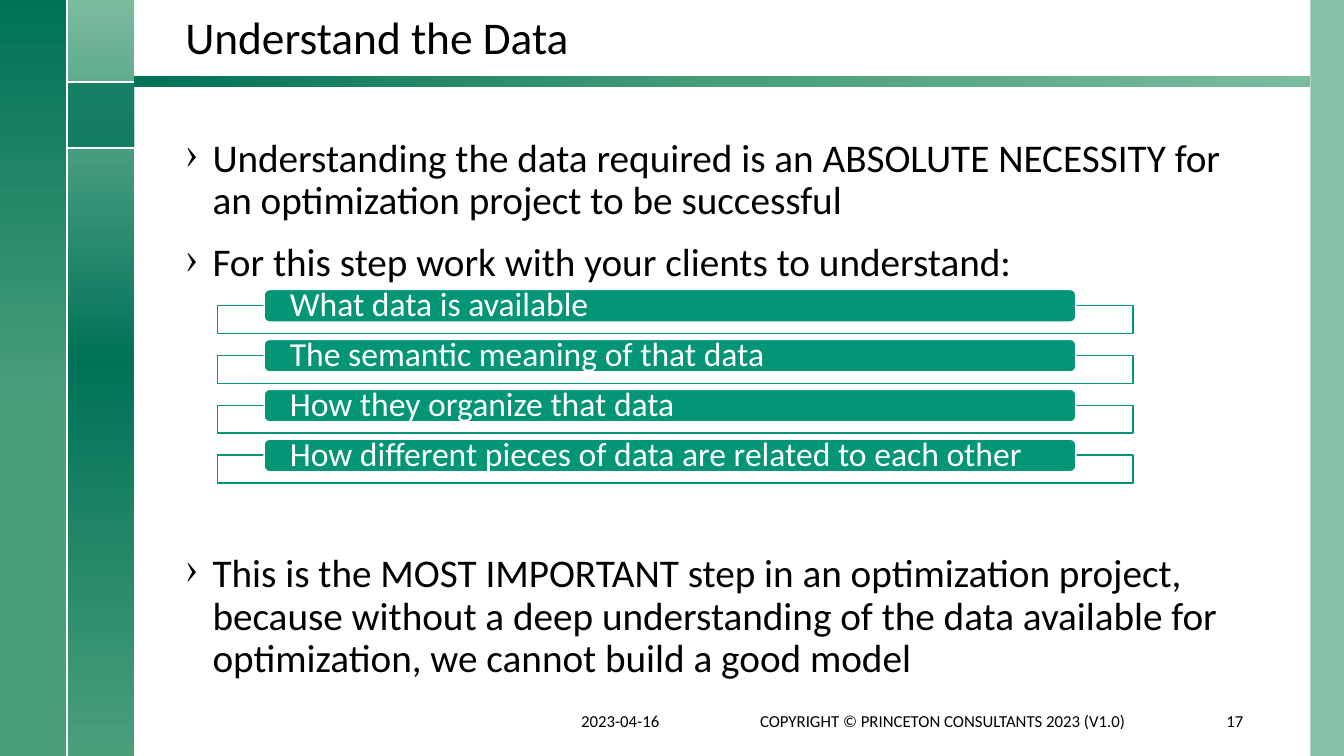
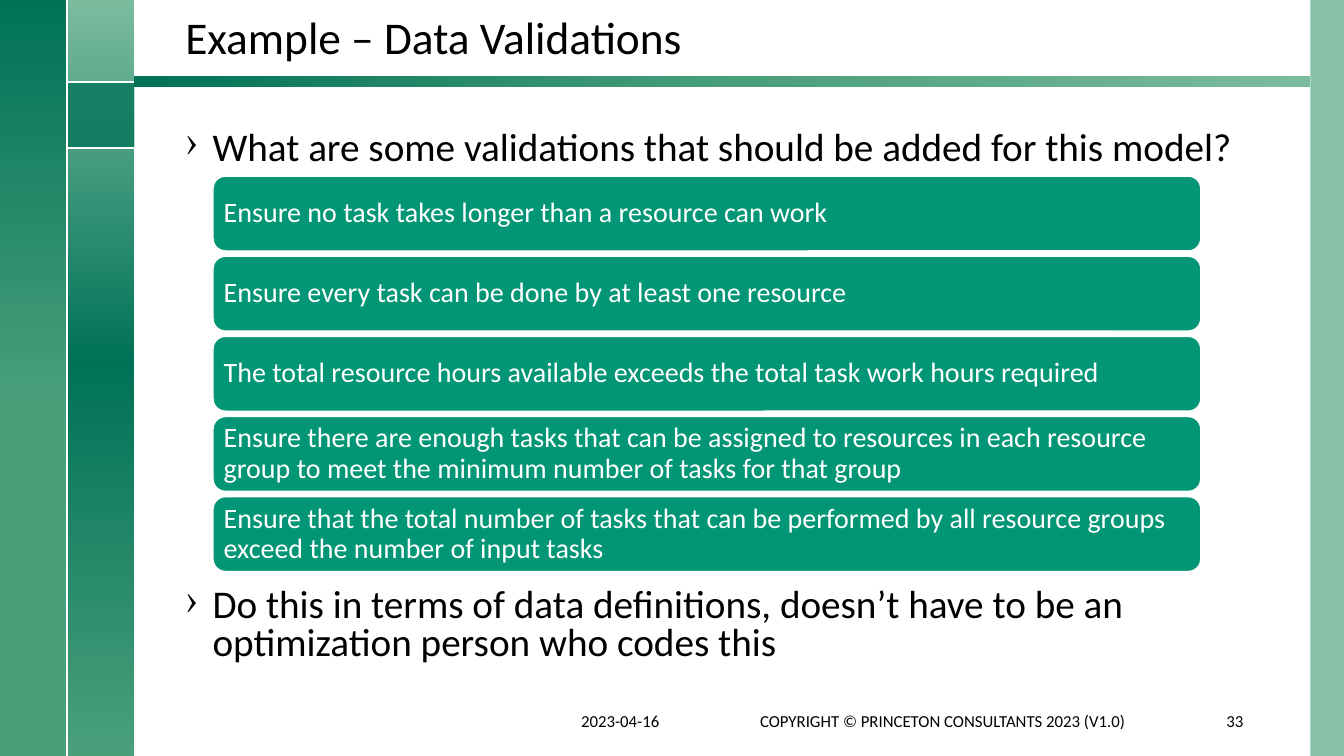
from dataclasses import dataclass

from lxml.etree import SubElement as Sub
from pptx import Presentation as Deck
from pptx.dml.color import RGBColor as Color
from pptx.enum.shapes import MSO_CONNECTOR as Link, MSO_SHAPE as Form
from pptx.enum.text import MSO_ANCHOR as Anchor, PP_ALIGN as Align
from pptx.oxml import parse_xml as parse
from pptx.oxml.ns import nsdecls, qn
from pptx.util import Inches, Pt

WIDE, HIGH = Inches(40 / 3), Inches(7.5)
COL, ROW = WIDE / 20, HIGH / 10


@dataclass(frozen=True)
class Theme:
    font: str = "Calibri"
    ink: str = "000000"
    white: str = "FFFFFF"
    light: str = "7BBB9E"
    mid: str = "4A9F7B"
    dark: str = "007257"
    pill: str = "029676"
    title: float = 32.4
    body: float = 28
    large: float = 24
    small: float = 20
    foot: float = 12


T = Theme()


def grid(x, y, w, h):
    return round(x * COL), round(y * ROW), round(w * COL), round(h * ROW)


def style(para, size, tint, space=None, align=None):
    para.font.name, para.font.size = T.font, Pt(size)
    para.font.color.rgb = Color.from_string(tint)
    para.line_spacing, para.alignment = space, align


def block(slide, area, form=Form.RECTANGLE, fill=None, alpha=100, line=None):
    shape = slide.shapes.add_shape(form, *grid(*area))
    shape.shadow.inherit = False
    if fill:
        shape.fill.solid()
        shape.fill.fore_color.rgb = Color.from_string(fill)
        if alpha < 100:
            tint = shape.fill._xPr.find(".//" + qn("a:srgbClr"))
            Sub(tint, qn("a:alpha"), val=str(alpha * 1000))
    if line:
        shape.line.color.rgb = Color.from_string(line)
        shape.line.width = Pt(1)
    else:
        shape.line.fill.background()
    return shape


def blend(slide, area, stops, angle):
    shape = block(slide, area)
    shape.fill.background()
    marks = "".join(
        f'<a:gs pos="{at * 1000}"><a:srgbClr val="{tint}"/></a:gs>' for at, tint in stops)
    fill = parse(f'<a:gradFill {nsdecls("a")} rotWithShape="1"><a:gsLst>{marks}</a:gsLst>'
                 f'<a:lin ang="{angle * 60000}" scaled="0"/></a:gradFill>')
    props = shape._element.spPr
    props.replace(props.find(qn("a:noFill")), fill)


def rule(slide, x1, y1, x2, y2):
    ends = round(x1 * COL), round(y1 * ROW), round(x2 * COL), round(y2 * ROW)
    line = slide.shapes.add_connector(Link.STRAIGHT, *ends)
    line.line.color.rgb = Color.from_string(T.white)
    line.line.width = Pt(1.5)
    Sub(line._element.spPr, qn("a:effectLst"))


def label(slide, area, text, size, anchor=Anchor.MIDDLE, space=None, align=Align.LEFT):
    frame = slide.shapes.add_textbox(*grid(*area)).text_frame
    frame.word_wrap, frame.vertical_anchor = True, anchor
    frame.text = text
    style(frame.paragraphs[0], size, T.ink, space, align)


def points(slide, top, items, space):
    frame = slide.shapes.add_textbox(*grid(2.61, top, 16.05, 1.9)).text_frame
    frame.word_wrap = True
    frame.text = "\n".join(items)
    for i, para in enumerate(frame.paragraphs):
        props = para._p.get_or_add_pPr()
        props.set("marL", str(Inches(0.27)))
        props.set("indent", str(-Inches(0.27)))
        Sub(props, qn("a:buChar"), char="›")
        style(para, T.body, T.ink, space)
        if i:
            para.space_before = Pt(14)


def pill(slide, area, text, size, side, edge):
    shape = block(slide, area, Form.ROUNDED_RECTANGLE, T.pill, line=T.white)
    frame = shape.text_frame
    frame.word_wrap, frame.vertical_anchor = True, Anchor.MIDDLE
    frame.margin_left = frame.margin_right = Inches(side)
    frame.margin_top = frame.margin_bottom = Inches(edge)
    frame.text = text
    style(frame.paragraphs[0], size, T.white, 0.9, Align.LEFT)


def framed(slide, items):
    for i, text in enumerate(items):
        top = 3.83 + 0.66 * i
        block(slide, (3.24, top + 0.21, 13.62, 0.37), fill=T.white, alpha=90, line=T.pill)
        pill(slide, (3.93, top, 12.08, 0.43), text, T.large, 0.24, 0)


def stack(slide, items):
    for i, text in enumerate(items):
        pill(slide, (3.17, 2.33 + 1.06 * i, 14.7, 0.99), text, T.small, 0.07, 0.07)


def page(deck, title, number):
    slide = deck.slides.add_slide(deck.slide_layouts[6])
    block(slide, (19.5, 0, 0.5, 10), fill=T.light, alpha=90)
    blend(slide, (1, 0, 1, 10), [(0, T.light), (48, T.dark), (100, T.mid)], 90)
    blend(slide, (0, 0, 1, 10), [(0, T.mid), (46, T.mid), (100, T.dark)], 270)
    block(slide, (1, 1.08, 1, 0.88), fill=T.dark, alpha=75)
    for y in (1.08, 1.96):
        rule(slide, 1, y, 2, y)
    rule(slide, 1, 0, 1, 10)
    blend(slide, (2, 1, 17.5, 0.15), [(0, T.light), (48, T.mid), (100, T.dark)], 180)
    label(slide, (2.61, 0.11, 16.05, 0.81), title, T.title, Anchor.BOTTOM, 0.9)
    for x, w, text, align in (
        (8.5, 2, "2023-04-16", Align.LEFT),
        (10.74, 6.58, "COPYRIGHT © PRINCETON CONSULTANTS 2023 (V1.0)", Align.CENTER),
        (17.65, 1, str(number), Align.RIGHT),
    ):
        label(slide, (x, 9.27, w, 0.53), text, T.foot, align=align)
    return slide


def main():
    deck = Deck()
    deck.slide_width, deck.slide_height = WIDE, HIGH

    slide = page(deck, "Understand the Data", 17)
    points(slide, 1.77, [
        "Understanding the data required is an ABSOLUTE NECESSITY for an optimization "
        "project to be successful",
        "For this step work with your clients to understand:",
    ], 0.9)
    points(slide, 7.26, [
        "This is the MOST IMPORTANT step in an optimization project, because without a deep "
        "understanding of the data available for optimization, we cannot build a good model",
    ], 0.9)
    framed(slide, [
        "What data is available",
        "The semantic meaning of that data",
        "How they organize that data",
        "How different pieces of data are related to each other",
    ])

    slide = page(deck, "Example – Data Validations", 33)
    points(slide, 1.67, ["What are some validations that should be added for this model?"], 0.8)
    points(slide, 7.72, [
        "Do this in terms of data definitions, doesn’t have to be an optimization person "
        "who codes this",
    ], 0.8)
    stack(slide, [
        "Ensure no task takes longer than a resource can work",
        "Ensure every task can be done by at least one resource",
        "The total resource hours available exceeds the total task work hours required",
        "Ensure there are enough tasks that can be assigned to resources in each resource "
        "group to meet the minimum number of tasks for that group",
        "Ensure that the total number of tasks that can be performed by all resource groups "
        "exceed the number of input tasks",
    ])
    deck.save("out.pptx")


if __name__ == "__main__":
    main()
